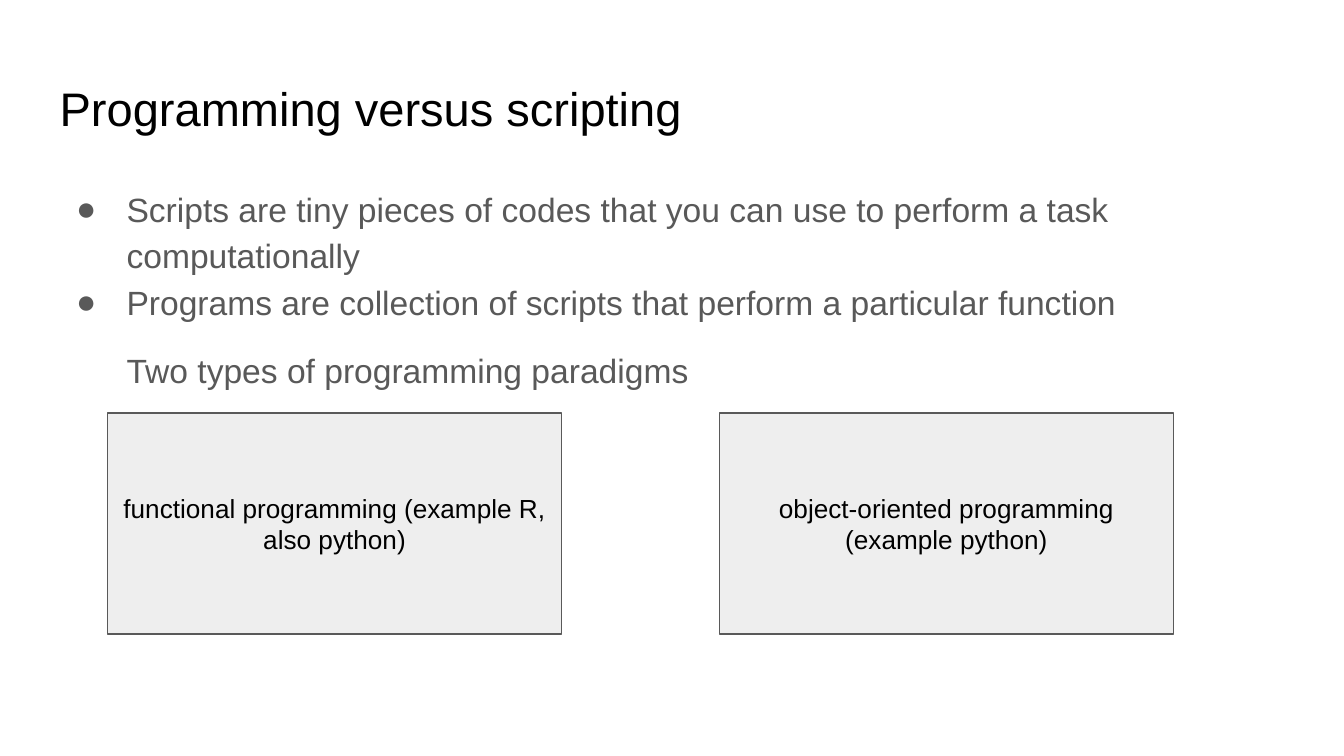
from dataclasses import dataclass

from lxml import etree
from pptx import Presentation
from pptx.dml.color import RGBColor
from pptx.enum.shapes import MSO_SHAPE
from pptx.enum.text import MSO_ANCHOR, MSO_AUTO_SIZE, PP_ALIGN
from pptx.oxml.ns import qn
from pptx.slide import Slide
from pptx.text.text import TextFrame
from pptx.util import Emu, Pt

RECT = MSO_SHAPE.RECTANGLE
TOP, MIDDLE = MSO_ANCHOR.TOP, MSO_ANCHOR.MIDDLE
LEFT, CENTER = PP_ALIGN.LEFT, PP_ALIGN.CENTER
NO_FIT = MSO_AUTO_SIZE.NONE

BLACK = RGBColor(0x00, 0x00, 0x00)
GRAY = RGBColor(0x59, 0x59, 0x59)
PALE = RGBColor(0xEE, 0xEE, 0xEE)
WHITE = RGBColor(0xFF, 0xFF, 0xFF)

FONT = "Arial"
SCALE = 9525


@dataclass(frozen=True)
class Item:
    text: str
    bullet: bool = True
    gap: int = 0


@dataclass(frozen=True)
class Box:
    text: str
    left: int


ITEMS = [
    Item("Scripts are tiny pieces of codes that you can use to perform a task computationally"),
    Item("Programs are collection of scripts that perform a particular function"),
    Item("Two types of programming paradigms", bullet=False, gap=12),
]
BOXES = [
    Box("object-oriented programming (example python)", 514),
    Box("functional programming (example R, also python)", 77),
]


def px(size: int) -> Emu:
    return Emu(size * SCALE)


def set_frame(frame: TextFrame, anchor: MSO_ANCHOR) -> None:
    frame.word_wrap = True
    frame.auto_size = NO_FIT
    frame.vertical_anchor = anchor
    frame.margin_left = frame.margin_right = Pt(7.2)
    frame.margin_top = frame.margin_bottom = Pt(7.2)


def style(frame: TextFrame, size: float, color: RGBColor, align: PP_ALIGN) -> None:
    for para in frame.paragraphs:
        para.alignment = align
        for run in para.runs:
            run.font.name = FONT
            run.font.size = Pt(size)
            run.font.color.rgb = color


def add_title(slide: Slide, text: str) -> None:
    title = slide.shapes.title
    title.left, title.top, title.width, title.height = px(33), px(47), px(895), px(60)
    frame = title.text_frame
    frame.text = text
    set_frame(frame, TOP)
    style(frame, 25.2, BLACK, LEFT)


def add_list(slide: Slide, items: list[Item]) -> None:
    frame = slide.shapes.add_textbox(px(33), px(121), px(895), px(359)).text_frame
    set_frame(frame, TOP)
    frame.text = "\n".join(item.text for item in items)
    style(frame, 18, GRAY, LEFT)
    for para, item in zip(frame.paragraphs, items):
        para.line_spacing = 1.15
        para.space_before = para.space_after = Pt(item.gap)
        props = para._p.get_or_add_pPr()
        props.set("marL", str(px(48)))
        props.set("indent", str(px(-36 if item.bullet else 0)))
        if item.bullet:
            tint = etree.SubElement(props, qn("a:buClr"))
            etree.SubElement(tint, qn("a:srgbClr"), val=str(GRAY))
            etree.SubElement(props, qn("a:buFont"), typeface=FONT)
            etree.SubElement(props, qn("a:buChar"), char="●")


def add_box(slide: Slide, box: Box) -> None:
    shape = slide.shapes.add_shape(RECT, px(box.left), px(295), px(324), px(158))
    shape.shadow.inherit = False
    shape.fill.solid()
    shape.fill.fore_color.rgb = PALE
    shape.line.color.rgb = GRAY
    shape.line.width = Pt(0.75)
    frame = shape.text_frame
    frame.text = box.text
    set_frame(frame, MIDDLE)
    style(frame, 14, BLACK, CENTER)


def main() -> None:
    deck = Presentation()
    deck.slide_width, deck.slide_height = px(960), px(540)
    slide = deck.slides.add_slide(deck.slide_layouts[5])
    slide.background.fill.solid()
    slide.background.fill.fore_color.rgb = WHITE
    add_title(slide, "Programming versus scripting")
    add_list(slide, ITEMS)
    for box in BOXES:
        add_box(slide, box)
    deck.save("out.pptx")


if __name__ == "__main__":
    main()
